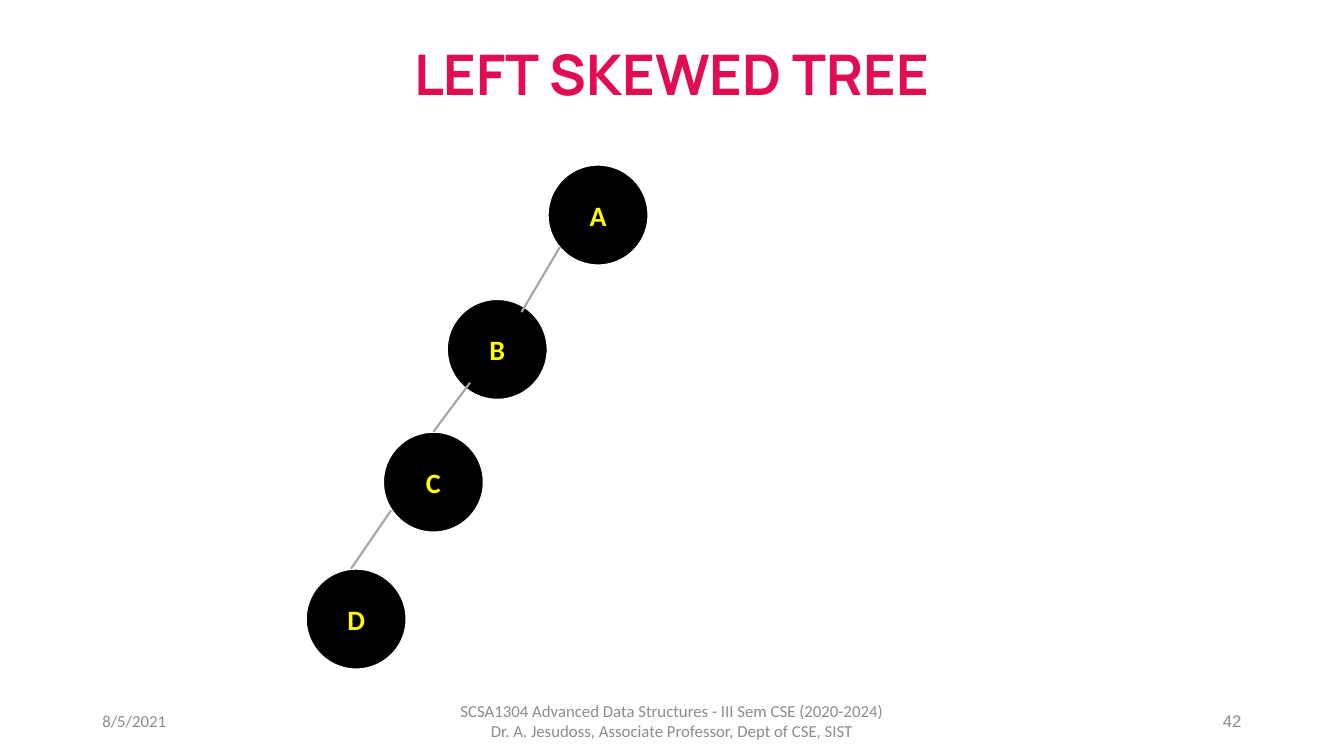
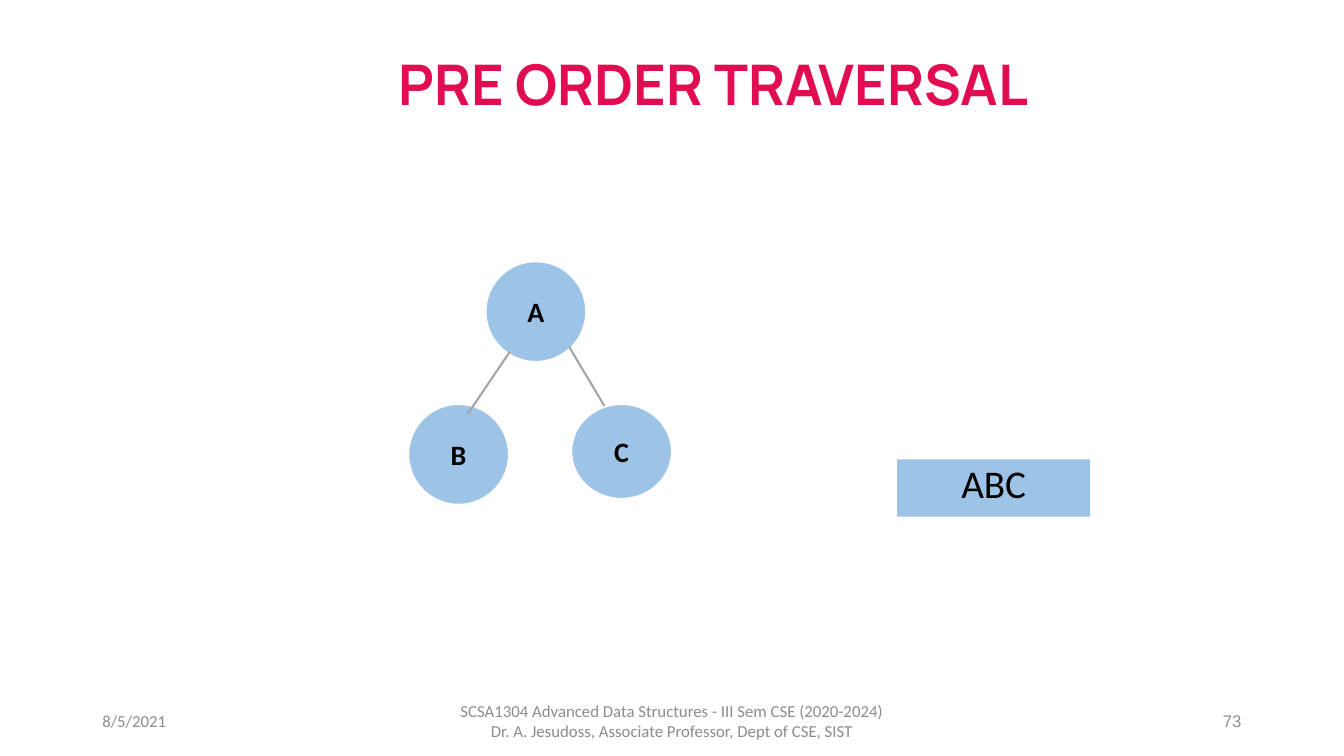
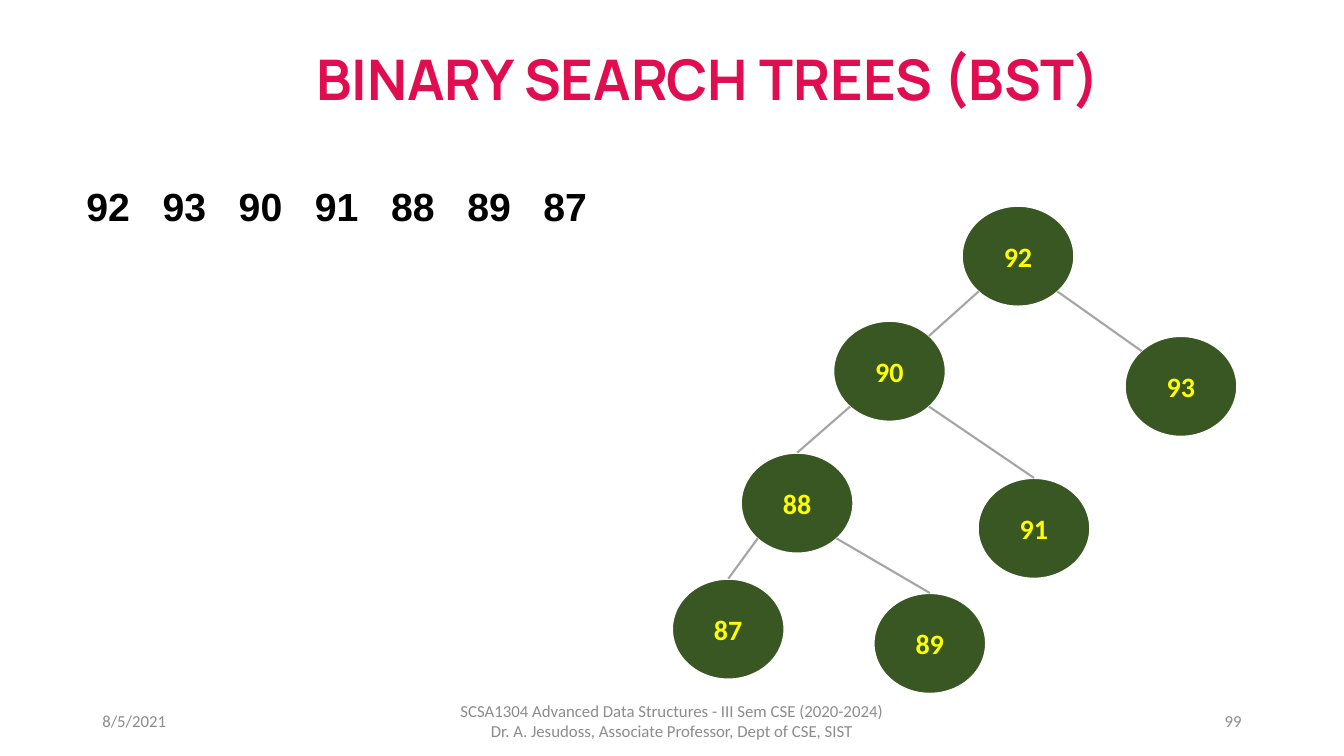
"""Build three slides on skewed trees, pre-order traversal and binary search trees."""
from lxml.etree import SubElement
from pptx import Presentation
from pptx.dml.color import RGBColor
from pptx.enum.shapes import MSO_CONNECTOR, MSO_SHAPE
from pptx.enum.text import MSO_ANCHOR, MSO_AUTO_SIZE, PP_ALIGN
from pptx.oxml.ns import qn
from pptx.util import Inches, Pt

PINK = RGBColor(0xE0, 0x0D, 0x50)
BLACK = RGBColor(0x00, 0x00, 0x00)
WHITE = RGBColor(0xFF, 0xFF, 0xFF)
YELLOW = RGBColor(0xFF, 0xFF, 0x00)
BLUE = RGBColor(0x9D, 0xC3, 0xE6)
GREEN = RGBColor(0x38, 0x57, 0x23)
EDGE_GRAY = RGBColor(0xA5, 0xA5, 0xA5)
FOOT_GRAY = RGBColor(0x8C, 0x8C, 0x8C)

COLS, ROWS = 160, 90
CELL = Inches(7.5) / ROWS
FOOT_ROW, FOOT_ROWS = 83.4, 4.8
NUMBER_STEP = 9.07
FOOTER = ("SCSA1304 Advanced Data Structures - III Sem CSE (2020-2024)\v"
          "Dr. A. Jesudoss, Associate Professor, Dept of CSE, SIST")

TOP, TOP_LEFT, TOP_RIGHT = (0.5, 0), (0.15, 0.15), (0.85, 0.15)
LOW_LEFT, LOW_RIGHT = (0.15, 0.85), (0.85, 0.85)

SLIDES = [
    {"title": "LEFT SKEWED TREE", "title_box": (15.8, 0.5, 128.3, 17.4),
     "page": "42", "page_font": "Arial", "fill": BLACK, "ink": YELLOW,
     "nodes": {"A": (65.2, 19.6, 12, 12), "B": (53.2, 35.6, 12, 12),
               "C": (45.6, 51.4, 12, 12), "D": (36.4, 67.7, 12, 12)},
     "edges": [("A", (0.12, 0.82), "B", (0.74, 0.13)),
               ("B", (0.23, 0.83), "C", TOP),
               ("C", (0.08, 0.78), "D", (0.45, 0))]},
    {"title": "PRE ORDER TRAVERSAL", "title_box": (20.8, 4.8, 128.3, 11.3),
     "page": "73", "page_font": "Arial", "fill": BLUE, "ink": BLACK,
     "nodes": {"A": (57.8, 31.1, 12, 12), "B": (48.6, 48.1, 12, 12),
               "C": (68, 48.1, 12, 11.3)},
     "edges": [("A", (0.24, 0.9), "B", (0.59, 0.1)),
               ("A", (0.83, 0.85), "C", (0.33, 0.02))]},
    {"title": "BINARY SEARCH TREES (BST)", "title_box": (14.6, 4.6, 139.4, 10.3),
     "page": "99", "page_font": "Calibri", "fill": GREEN, "ink": YELLOW,
     "nodes": {"92": (114.5, 24.5, 13.4, 12), "90": (99.2, 38.2, 13.4, 12),
               "93": (133.9, 40, 13.4, 12), "88": (88.2, 53.9, 13.4, 12),
               "91": (116.4, 56.9, 13.4, 12), "87": (80, 68.9, 13.4, 12),
               "89": (104, 70.6, 13.4, 12)},
     "edges": [("92", LOW_LEFT, "90", TOP_RIGHT), ("92", LOW_RIGHT, "93", TOP_LEFT),
               ("90", LOW_LEFT, "88", TOP), ("90", LOW_RIGHT, "91", TOP),
               ("88", LOW_LEFT, "87", TOP), ("88", LOW_RIGHT, "89", TOP)]},
]


def grid(*cells):
    """Turn grid cells into lengths."""
    return [round(c * CELL) for c in cells]


def write(sp, text, size, color, bold=False, font="Calibri",
          align=PP_ALIGN.CENTER, anchor=MSO_ANCHOR.MIDDLE):
    """Put one formatted paragraph in a shape and return it."""
    tf = sp.text_frame
    tf.word_wrap = True
    tf.auto_size = MSO_AUTO_SIZE.NONE
    tf.vertical_anchor = anchor
    p = tf.paragraphs[0]
    p.text = text
    p.alignment = align
    for r in p.runs:
        r.font.name, r.font.size, r.font.bold = font, Pt(size), bold
        r.font.color.rgb = color
    return p


prs = Presentation()
prs.slide_width, prs.slide_height = grid(COLS, ROWS)

for page in SLIDES:
    s = prs.slides.add_slide(prs.slide_layouts[5])
    title = s.shapes.title
    title.left, title.top, title.width, title.height = grid(*page["title_box"])
    write(title, page["title"], 40, PINK, True, "Manrope").line_spacing = 0.9

    for label, box in page["nodes"].items():
        sp = s.shapes.add_shape(MSO_SHAPE.OVAL, *grid(*box))
        sp.shadow.inherit = False
        sp.fill.solid()
        sp.fill.fore_color.rgb = page["fill"]
        sp.line.color.rgb = WHITE
        sp.line.width = Pt(1.5)
        write(sp, label, 20, page["ink"], True)

    for parent, start, child, end in page["edges"]:
        points = []
        for name, (across, down) in ((parent, start), (child, end)):
            x, y, w, h = page["nodes"][name]
            points += [x + across * w, y + down * h]
        cx = s.shapes.add_connector(MSO_CONNECTOR.STRAIGHT, *grid(*points))
        cx.line.color.rgb = EDGE_GRAY
        cx.line.width = Pt(1.5)
        SubElement(cx._element.spPr, qn("a:effectLst"))

    for col, width, text, font, align in (
            (11, 36, "8/5/2021", "Calibri", PP_ALIGN.LEFT),
            (53, 54, FOOTER, "Calibri", PP_ALIGN.CENTER),
            (113, 36, page["page"], page["page_font"], PP_ALIGN.RIGHT)):
        tb = s.shapes.add_textbox(*grid(col, FOOT_ROW, width, FOOT_ROWS))
        write(tb, text, 12, FOOT_GRAY, font=font, align=align)

traversal, search = prs.slides[1], prs.slides[2]

sp = traversal.shapes.add_shape(MSO_SHAPE.RECTANGLE, *grid(106.8, 54.7, 23, 6.8))
sp.shadow.inherit = False
sp.fill.solid()
sp.fill.fore_color.rgb = BLUE
sp.line.fill.background()
write(sp, "ABC", 28, BLACK, anchor=MSO_ANCHOR.TOP).line_spacing = 0.9

numbers = ["92", "93", "90", "91", "88", "89", "87"]
tb = search.shapes.add_textbox(*grid(9.1, 21.1, 70.9, 7.1))
p = write(tb, "\t".join(numbers), 28, BLACK, True, "Arial",
          PP_ALIGN.LEFT, MSO_ANCHOR.TOP)
tabs = SubElement(p._p.get_or_add_pPr(), qn("a:tabLst"))
for i in range(1, len(numbers)):
    SubElement(tabs, qn("a:tab"), pos=str(grid(i * NUMBER_STEP)[0]), algn="l")

prs.save("out.pptx")
